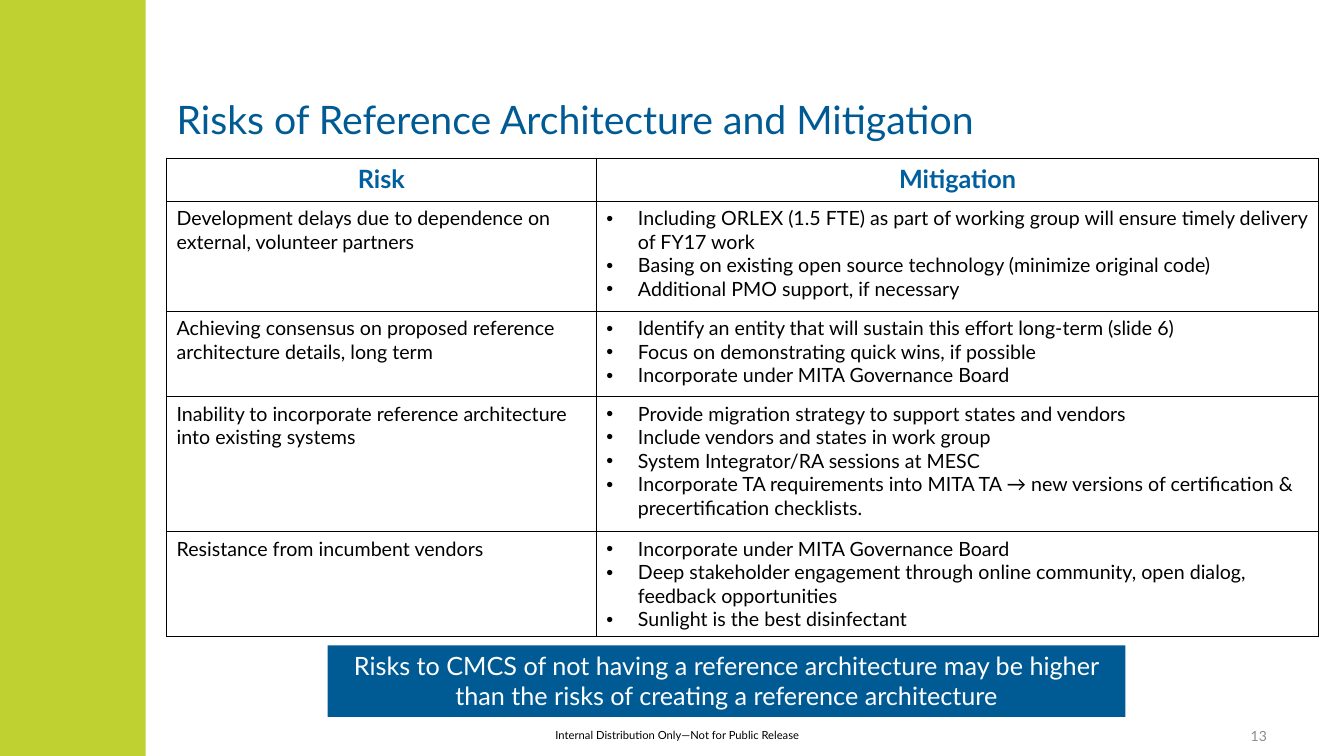
import pptx
import pptx.dml.color
import pptx.enum.shapes
import pptx.enum.text
import pptx.oxml
import pptx.oxml.ns
import pptx.util

Pt = pptx.util.Pt
RGBColor = pptx.dml.color.RGBColor
ALIGN = pptx.enum.text.PP_ALIGN
ANCHOR = pptx.enum.text.MSO_ANCHOR

BLUE = RGBColor(0x00, 0x5B, 0x94)
HEADER_BLUE = RGBColor(0x00, 0x5F, 0x9E)
GREEN = RGBColor(0xBE, 0xD1, 0x31)
GRAY = RGBColor(0x8C, 0x8C, 0x8C)
BLACK = RGBColor(0, 0, 0)
WHITE = RGBColor(0xFF, 0xFF, 0xFF)

RISKS = [
    ("Development delays due to dependence on external, volunteer partners",
     ["Including ORLEX (1.5 FTE) as part of working group will ensure timely delivery of FY17 work",
      "Basing on existing open source technology (minimize original code)",
      "Additional PMO support, if necessary"]),
    ("Achieving consensus on proposed reference architecture details, long term",
     ["Identify an entity that will sustain this effort long-term (slide 6)",
      "Focus on demonstrating quick wins, if possible",
      "Incorporate under MITA Governance Board"]),
    ("Inability to incorporate reference architecture into existing systems",
     ["Provide migration strategy to support states and vendors",
      "Include vendors and states in work group",
      "System Integrator/RA sessions at MESC",
      "Incorporate TA requirements into MITA TA → new versions of certification & "
      "precertification checklists."]),
    ("Resistance from incumbent vendors",
     ["Incorporate under MITA Governance Board",
      "Deep stakeholder engagement through online community, open dialog, feedback opportunities",
      "Sunlight is the best disinfectant"]),
]


class SlideBuilder:
    font = "Lato"
    bullet_indent = Pt(22.5)

    def __init__(self, s):
        self.s = s

    def set_text(self, tf, text, size, color, align=ALIGN.LEFT, bold=False, bullets=False):
        tf.text = text
        for p in tf.paragraphs:
            p.alignment = align
            if bullets:
                self.add_bullet(p)
            for r in p.runs:
                r.font.name = self.font
                r.font.size = Pt(size)
                r.font.bold = bold
                r.font.color.rgb = color

    def add_bullet(self, p):
        pPr = p._p.get_or_add_pPr()
        pPr.set("marL", str(self.bullet_indent))
        pPr.set("indent", str(-self.bullet_indent))
        ns = pptx.oxml.ns.nsdecls("a")
        pPr.append(pptx.oxml.parse_xml(f'<a:buFont {ns} typeface="Arial"/>'))
        pPr.append(pptx.oxml.parse_xml(f'<a:buChar {ns} char="•"/>'))

    def title(self, text, box):
        sp = self.s.shapes.title
        sp.left, sp.top, sp.width, sp.height = map(Pt, box)
        tf = sp.text_frame
        self.set_text(tf, text, 28, BLUE)
        tf.auto_size = pptx.enum.text.MSO_AUTO_SIZE.NONE
        tf.vertical_anchor = ANCHOR.MIDDLE

    def label(self, text, box, size, color, align, anchor=ANCHOR.TOP):
        tf = self.s.shapes.add_textbox(*map(Pt, box)).text_frame
        tf.word_wrap = True
        tf.vertical_anchor = anchor
        self.set_text(tf, text, size, color, align)

    def rectangle(self, box, fill, text=""):
        sp = self.s.shapes.add_shape(pptx.enum.shapes.MSO_SHAPE.RECTANGLE, *map(Pt, box))
        sp.shadow.inherit = False
        sp.fill.solid()
        sp.fill.fore_color.rgb = fill
        sp.line.fill.background()
        if text:
            sp.text_frame.vertical_anchor = ANCHOR.TOP
            self.set_text(sp.text_frame, text, 18, WHITE, ALIGN.CENTER)

    def style_cell(self, cell):
        """Give the cell thin black borders and no fill."""
        tcPr = cell._tc.get_or_add_tcPr()
        for side in ("lnL", "lnR", "lnT", "lnB"):
            tcPr.append(pptx.oxml.parse_xml(
                f'<a:{side} {pptx.oxml.ns.nsdecls("a")} w="{Pt(1)}"><a:solidFill>'
                f'<a:srgbClr val="{BLACK}"/></a:solidFill></a:{side}>'))
        cell.fill.background()

    def risk_table(self, headers, risks, left, top, widths, heights):
        frame = self.s.shapes.add_table(len(heights), len(widths), Pt(left), Pt(top),
                                        Pt(sum(widths)), Pt(sum(heights)))
        table = frame.table
        table.first_row = table.horz_banding = False
        for column, width in zip(table.columns, widths):
            column.width = Pt(width)
        for row, height in zip(table.rows, heights):
            row.height = Pt(height)
        for cell in table.iter_cells():
            self.style_cell(cell)
        for col, header in enumerate(headers):
            self.set_text(table.cell(0, col).text_frame, header, 18, HEADER_BLUE,
                          ALIGN.CENTER, bold=True)
        for row, (risk, mitigations) in enumerate(risks, 1):
            self.set_text(table.cell(row, 0).text_frame, risk, 14, BLACK)
            self.set_text(table.cell(row, 1).text_frame, "\n".join(mitigations), 14, BLACK,
                          bullets=True)


def main():
    prs = pptx.Presentation()
    prs.slide_width, prs.slide_height = Pt(960), Pt(540)
    slide = SlideBuilder(prs.slides.add_slide(prs.slide_layouts[5]))

    slide.rectangle((0, 0, 104, 540), GREEN)
    slide.label("Internal Distribution Only—Not for Public Release",
                (337.5, 517, 293, 17), 8, BLACK, ALIGN.CENTER)
    slide.title("Risks of Reference Architecture and Mitigation", (119, 57, 784, 56))
    slide.risk_table(("Risk", "Mitigation"), RISKS, 119, 113,
                     widths=(307, 516), heights=(31, 78.5, 61, 96.5, 74))
    slide.label("13", (720, 511, 192, 29), 10, GRAY, ALIGN.RIGHT, ANCHOR.MIDDLE)
    slide.rectangle((234, 461, 570, 51), BLUE,
                    "Risks to CMCS of not having a reference architecture may be higher "
                    "than the risks of creating a reference architecture")
    prs.save("out.pptx")


if __name__ == "__main__":
    main()
